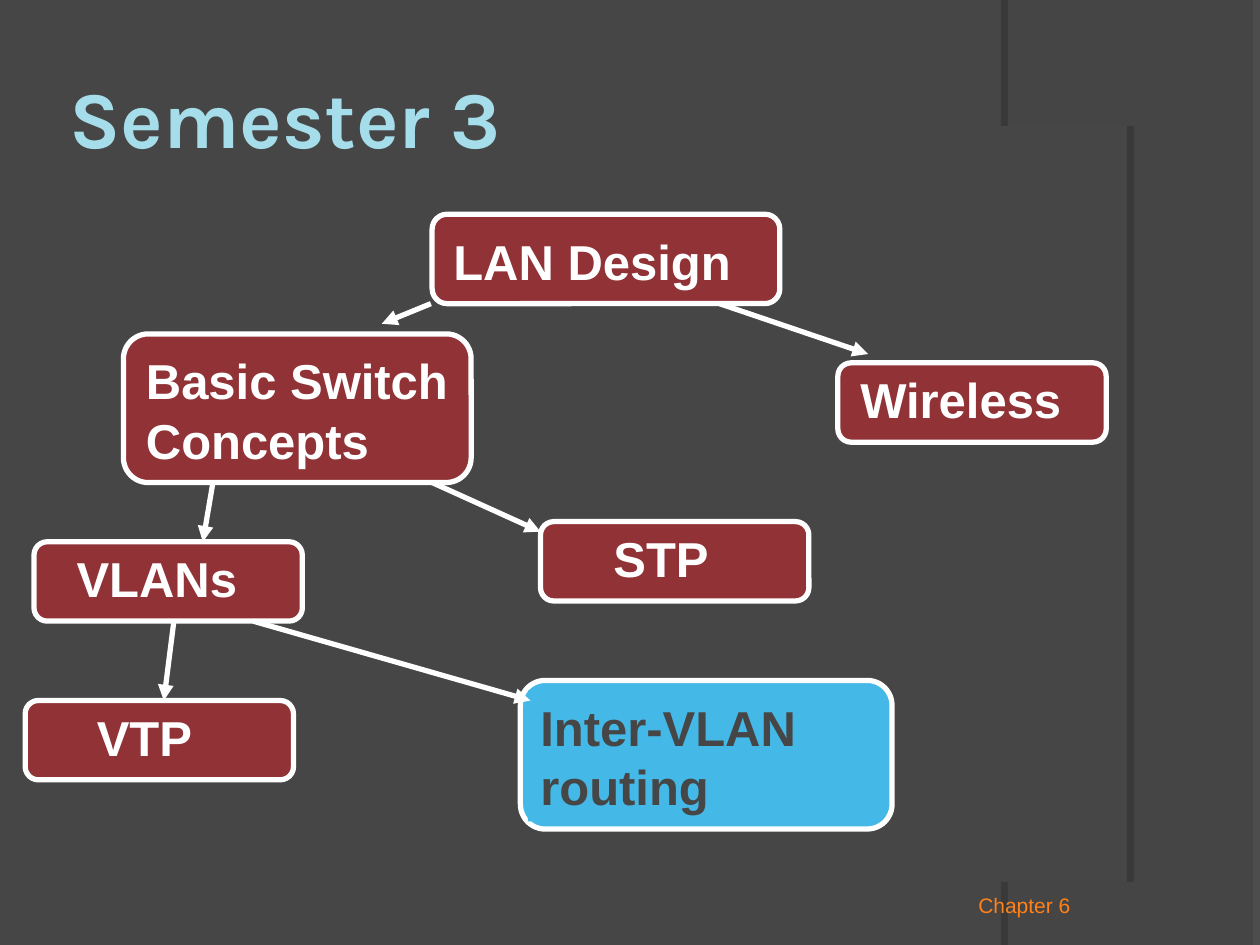
from lxml import etree
from pptx import Presentation
from pptx import util as u
from pptx.dml.color import RGBColor
from pptx.enum import shapes, text
from pptx.oxml import ns

BACKGROUND = RGBColor(0x46, 0x46, 0x46)
PANEL = RGBColor(0x59, 0x59, 0x59)
TITLE = RGBColor(0xA6, 0xDD, 0xEA)
FOOTER = RGBColor(0xFF, 0x81, 0x19)
TOPIC = RGBColor(0xDA, 0x1F, 0x28)
CURRENT = RGBColor(0x44, 0xB9, 0xE8)
WHITE = RGBColor(0xFF, 0xFF, 0xFF)

TOPICS = [
    ("LAN Design", (3.43, 1.7, 2.76, 0.71), (3.5, 1.78, 2.99, 0.57)),
    ("Basic Switch Concepts", (0.98, 2.65, 2.76, 1.18), (1.06, 2.73, 2.99, 1.04)),
    ("VLANs", (0.27, 4.3, 2.13, 0.63), (0.51, 4.3, 2.99, 0.57)),
    ("VTP", (0.2, 5.56, 2.13, 0.63), (0.67, 5.56, 2.99, 0.57)),
    ("STP", (4.29, 4.14, 2.13, 0.63), (4.77, 4.14, 2.99, 0.57)),
    ("Inter-VLAN routing", (4.13, 5.4, 2.95, 1.18), (4.19, 5.48, 2.72, 1.04)),
    ("Wireless", (6.65, 2.88, 2.13, 0.63), (6.73, 2.88, 2.99, 0.57)),
]
CURRENT_TOPIC = "Inter-VLAN routing"

ARROWS = [
    (5.71, 2.41, 6.89, 2.81),
    (3.42, 2.41, 3.03, 2.57),
    (1.69, 3.83, 1.61, 4.3),
    (1.38, 4.93, 1.3, 5.56),
    (2.01, 4.93, 4.21, 5.56),
    (3.43, 3.83, 4.29, 4.22),
]


def inches(values):
    return [u.Inches(value) for value in values]


def apply(target, values):
    for name, value in values.items():
        setattr(target, name, value)


def child(parent, tag, **attributes):
    return etree.SubElement(parent, ns.qn(tag), attributes)


def fill_shape(shape, color, opacity=100):
    shape.fill.solid()
    shape.fill.fore_color.rgb = color
    if opacity < 100:
        solid = shape._element.spPr.find(ns.qn("a:solidFill"))
        child(solid[0], "a:alpha", val=str(opacity * 1000))


def write(box, words, size, font, color, inset, frame, paragraph):
    sides = dict(zip(("margin_left", "margin_top", "margin_right", "margin_bottom"), inches(inset)))
    apply(box.text_frame, {"word_wrap": True, "auto_size": text.MSO_AUTO_SIZE.NONE, **sides, **frame})
    para = box.text_frame.paragraphs[0]
    apply(para, paragraph)
    span = para.add_run()
    span.text = words
    apply(span.font, {"size": u.Pt(size), "name": font, "bold": size > 12})
    span.font.color.rgb = color


def add_panel(page):
    curve = [(8.21, 7.5), (9.35, 6.19), (10.18, 3), (8, 0)]
    steps = 48
    points = [(10, 7.5)]
    for step in range(steps + 1):
        t = step / steps
        weights = ((1 - t) ** 3, 3 * t * (1 - t) ** 2, 3 * t * t * (1 - t), t ** 3)
        points.append(tuple(sum(w * p[axis] for w, p in zip(weights, curve)) for axis in (0, 1)))
    builder = page.shapes.build_freeform(10, 0.02, scale=u.Inches(1))
    builder.add_line_segments(points, close=True)
    panel = builder.convert_to_shape()
    fill_shape(panel, PANEL, 40)
    panel.line.fill.background()
    effects = child(panel._element.spPr, "a:effectLst")
    shadow = child(effects, "a:outerShdw", blurRad="0", dist=str(u.Pt(4)), dir="10800000",
                   algn="ctr", rotWithShape="0")
    child(child(shadow, "a:srgbClr", val="000000"), "a:alpha", val="45000")


def add_topic(page, words, card_place, label_place):
    current = words == CURRENT_TOPIC
    parent = page.shapes if current else page.shapes.add_group_shape().shapes
    card = parent.add_shape(shapes.MSO_SHAPE.ROUNDED_RECTANGLE, *inches(card_place))
    card.shadow.inherit = False
    card.adjustments[0] = 0.167
    fill_shape(card, CURRENT if current else TOPIC, 100 if current else 50)
    card.line.color.rgb = WHITE
    card.line.width = u.Pt(3)
    label = parent.add_textbox(*inches(label_place))
    if current:
        fill_shape(label, CURRENT)
    write(label, words, 28, "Arial", BACKGROUND if current else WHITE,
          (0.1, 0.05, 0.1, 0.05), {"vertical_anchor": text.MSO_ANCHOR.TOP},
          {"space_before": u.Pt(17.5), "line_spacing": u.Pt(34)})


def add_arrow(page, ends):
    arrow = page.shapes.add_connector(shapes.MSO_CONNECTOR.STRAIGHT, *inches(ends))
    arrow.line.color.rgb = WHITE
    arrow.line.width = u.Pt(3)
    child(arrow.line._get_or_add_ln(), "a:tailEnd", type="triangle")
    child(arrow._element.spPr, "a:effectLst")


def add_title(page):
    title = page.shapes.title
    apply(title, dict(zip(("left", "top", "width", "height"), inches((0.5, 0.3, 8.17, 1.25)))))
    write(title, "Semester 3", 46, "Karla", TITLE, (0.05,) * 4,
          {"vertical_anchor": text.MSO_ANCHOR.MIDDLE}, {"alignment": text.PP_ALIGN.LEFT})


def add_footer(page):
    footer = page.shapes.add_textbox(*inches((7.67, 7.08, 0.92, 0.2)))
    write(footer, "Chapter 6", 12, "Arial", FOOTER, (0,) * 4,
          {"vertical_anchor": text.MSO_ANCHOR.BOTTOM},
          {"alignment": text.PP_ALIGN.CENTER, "space_before": u.Pt(7.5)})


def main():
    deck = Presentation()
    apply(deck, {"slide_width": u.Inches(10), "slide_height": u.Inches(7.5)})
    page = deck.slides.add_slide(deck.slide_layouts[5])
    page.background.fill.solid()
    page.background.fill.fore_color.rgb = BACKGROUND
    add_panel(page)
    add_footer(page)
    add_title(page)
    for topic in TOPICS:
        add_topic(page, *topic)
    for ends in ARROWS:
        add_arrow(page, ends)
    deck.save("out.pptx")


if __name__ == "__main__":
    main()
